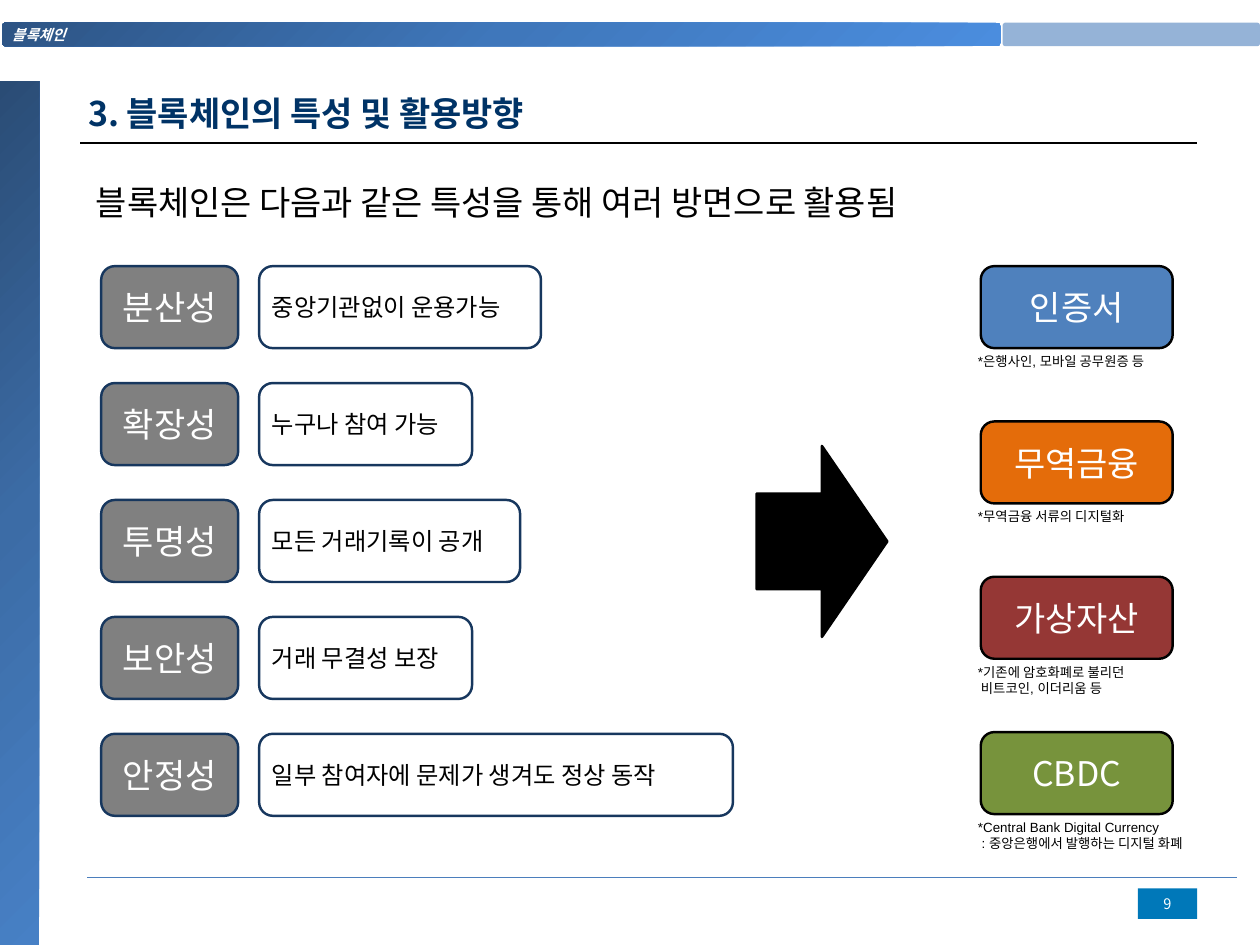
import pptx
import pptx.util
import pptx.dml.color
import pptx.enum.shapes
import pptx.enum.text
import pptx.oxml
import pptx.oxml.ns

Inches = pptx.util.Inches
Pt = pptx.util.Pt
RGB = pptx.dml.color.RGBColor.from_string
KIND = pptx.enum.shapes.MSO_SHAPE
ALIGN = pptx.enum.text.PP_ALIGN
ANCHOR = pptx.enum.text.MSO_ANCHOR
FIT = pptx.enum.text.MSO_AUTO_SIZE
qn = pptx.oxml.ns.qn
STRAIGHT = pptx.enum.shapes.MSO_CONNECTOR.STRAIGHT

SANS = "Noto Sans CJK KR"
THEME = {
    "white": "FFFFFF", "black": "000000", "navy": "17375E", "grey": "808080",
    "pale": "95B3D7", "badge": "0078B9", "rule": "4B7EBC",
    "bar": ("2D5484", "3F77BB", "4B8DDE"),
    "side": ("2A4C75", "3C6CA6", "4780C5"),
    # Text styles: colour, then font values
    "head": ("FFFFFF", {"size": Pt(12), "name": SANS, "bold": True, "italic": True}),
    "title": ("003366", {"size": Pt(28), "name": SANS, "bold": True}),
    "lead": ("000000", {"size": Pt(28), "name": "Arial"}),
    "label": ("FFFFFF", {"size": Pt(28), "name": SANS}),
    "detail": ("000000", {"size": Pt(20), "name": SANS}),
    "note": ("000000", {"size": Pt(11), "name": "Arial"}),
    "page": ("FFFFFF", {"size": Pt(12), "name": SANS}),
}


def write(shape, text, style, align=ALIGN.LEFT, anchor=ANCHOR.MIDDLE):
    """Fill a shape with text, one paragraph a line, in a theme style."""
    color, font = THEME[style]
    frame = shape.text_frame
    frame.text = text
    form = {"word_wrap": True, "auto_size": FIT.NONE, "vertical_anchor": anchor}
    for key, value in form.items():
        setattr(frame, key, value)
    for para in frame.paragraphs:
        para.alignment = align
        for run in para.runs:
            for key, value in font.items():
                setattr(run.font, key, value)
            run.font.color.rgb = RGB(color)
            east = run.font._element.makeelement(qn("a:ea"), {"typeface": SANS})
            run.font._element.find(qn("a:latin")).addnext(east)


def draw(kind, box, fill, line=None):
    """Add a flat shape; fill is one colour or three gradient colours."""
    shape = slide.shapes.add_shape(kind, *map(Inches, box))
    shape.shadow.inherit = False
    if isinstance(fill, tuple):
        stops = "".join(
            f'<a:gs pos="{i * 50000}"><a:srgbClr val="{c}"/></a:gs>'
            for i, c in enumerate(fill))
        grad = pptx.oxml.parse_xml(
            '<a:gradFill xmlns:a="http://schemas.openxmlformats.org/drawingml/2006/main">'
            f'<a:gsLst>{stops}</a:gsLst><a:path path="circle">'
            '<a:fillToRect r="100000" b="100000"/></a:path></a:gradFill>')
        shape._element.spPr.find(qn("a:prstGeom")).addnext(grad)
    else:
        shape.fill.solid()
        shape.fill.fore_color.rgb = RGB(fill)
    if line:
        shape.line.color.rgb = RGB(line)
        shape.line.width = Pt(2)
    else:
        shape.line.fill.background()
    return shape


deck = pptx.Presentation()
deck.slide_width, deck.slide_height = Inches(14.44), Inches(10.83)
slide = deck.slides.add_slide(deck.slide_layouts[1])

# Title and lead sentence
title, body = slide.placeholders
for holder, box in ((title, (0.91, 0.98, 12.81, 0.6)), (body, (1, 2.03, 12.83, 7.64))):
    for side, value in zip(("left", "top", "width", "height"), box):
        setattr(holder, side, Inches(value))
write(title, "3. 블록체인의 특성 및 활용방향", "title", anchor=ANCHOR.TOP)
title.text_frame.paragraphs[0].line_spacing = 1.06
write(body, "블록체인은 다음과 같은 특성을 통해 여러 방면으로 활용됨", "lead", anchor=ANCHOR.TOP)
props = body.text_frame.paragraphs[0]._p.get_or_add_pPr()
props.set("marL", "0")
props.set("indent", "0")
props.append(props.makeelement(qn("a:buNone"), {}))

# Page frame
bar = draw(KIND.ROUNDED_RECTANGLE, (0.03, 0.26, 11.44, 0.27), THEME["bar"])
tail = draw(KIND.ROUNDED_RECTANGLE, (11.49, 0.26, 2.95, 0.27), THEME["pale"])
for strip in (bar, tail):
    strip.adjustments[0] = 0.12
write(bar, "블록체인", "head")
draw(KIND.RECTANGLE, (0, 0.93, 0.45, 9.9), THEME["side"])
badge = draw(KIND.RECTANGLE, (13.04, 10.18, 0.68, 0.35), THEME["badge"])
write(badge, "9", "page", ALIGN.CENTER)
for side in ("left", "top", "right", "bottom"):
    setattr(badge.text_frame, f"margin_{side}", 0)
for left, right, y, color, width in (
        (0.92, 13.72, 1.64, "black", 1.5), (1, 14.18, 10.06, "rule", 0.75)):
    rule = slide.shapes.add_connector(
        STRAIGHT, Inches(left), Inches(y), Inches(right), Inches(y))
    rule.line.color.rgb = RGB(THEME[color])
    rule.line.width = Pt(width)
    spPr = rule._element.spPr
    spPr.append(spPr.makeelement(qn("a:effectLst"), {}))

# Traits on the left
TOP, TALL = 3.05, 0.94
traits = (
    ("분산성", "중앙기관없이 운용가능", 3.23),
    ("확장성", "누구나 참여 가능", 2.44),
    ("투명성", "모든 거래기록이 공개", 2.99),
    ("보안성", "거래 무결성 보장", 2.44),
    ("안정성", "일부 참여자에 문제가 생겨도 정상 동작", 5.43),
)
for row, (name, detail, width) in enumerate(traits):
    y = TOP + row * 1.34
    label = draw(KIND.FLOWCHART_ALTERNATE_PROCESS, (1.16, y, 1.57, TALL),
                 THEME["grey"], THEME["navy"])
    write(label, name, "label", ALIGN.CENTER)
    card = draw(KIND.FLOWCHART_ALTERNATE_PROCESS, (2.97, y, width, TALL),
                THEME["white"], THEME["navy"])
    write(card, detail, "detail")

draw(KIND.RIGHT_ARROW, (8.67, 5.11, 1.5, 2.19), THEME["black"], THEME["black"])

# Uses on the right
uses = (
    ("인증서", "4F81BD", "*은행사인, 모바일 공무원증 등"),
    ("무역금융", "E46C0A", "*무역금융 서류의 디지털화"),
    ("가상자산", "953735", "*기존에 암호화폐로 불리던\n 비트코인, 이더리움 등"),
    ("CBDC", "77933C", "*Central Bank Digital Currency\n : 중앙은행에서 발행하는 디지털 화폐"),
)
for row, (name, color, remark) in enumerate(uses):
    y = TOP + row * 1.78
    label = draw(KIND.FLOWCHART_ALTERNATE_PROCESS, (11.24, y, 2.2, TALL),
                 color, THEME["black"])
    write(label, name, "label", ALIGN.CENTER)
    note = slide.shapes.add_textbox(
        Inches(11.11), Inches(y + 0.95), Inches(3.2), Inches(0.47))
    write(note, remark, "note", anchor=ANCHOR.TOP)

deck.save("out.pptx")
